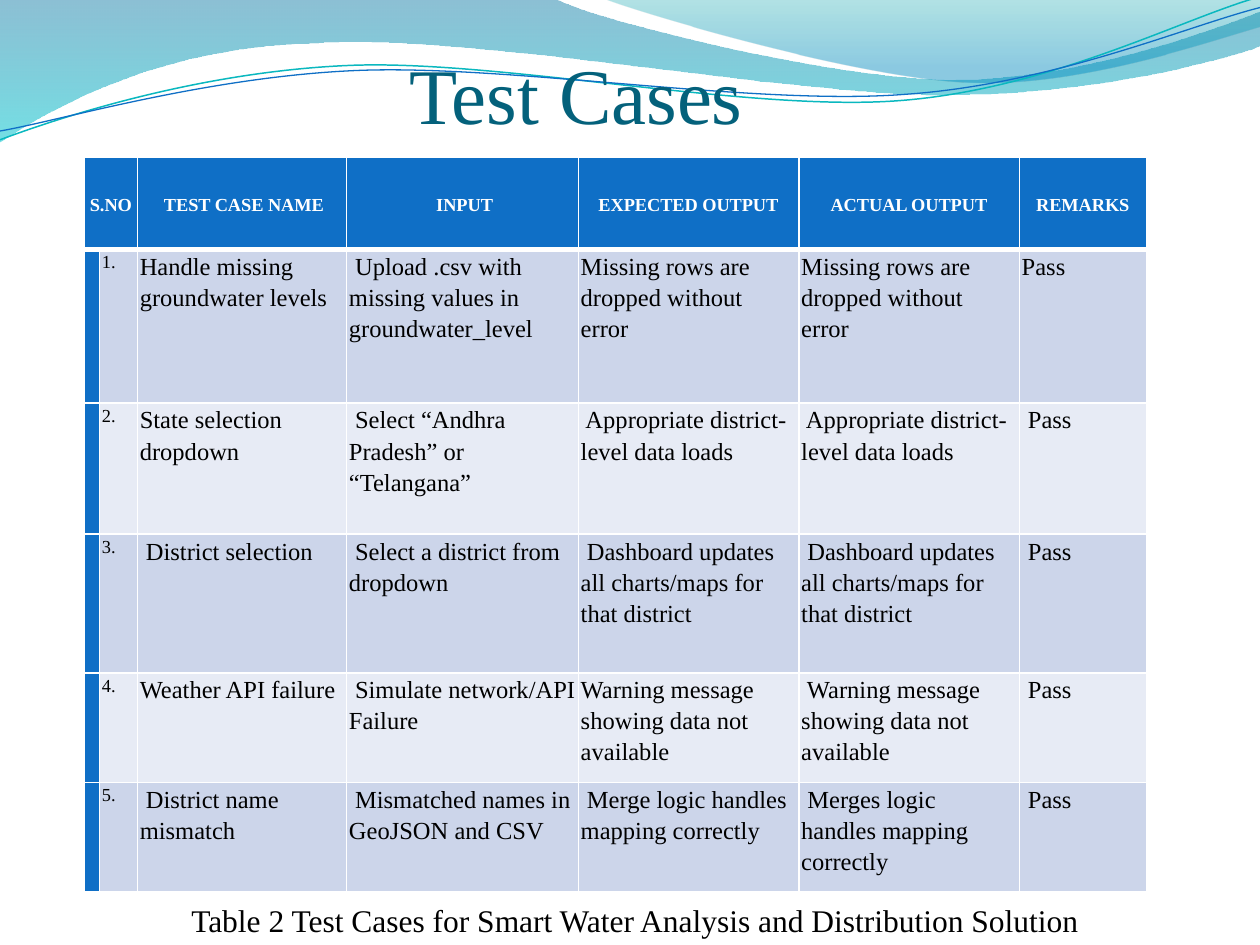
from lxml.etree import SubElement
from pptx import Presentation
from pptx.dml.color import RGBColor
from pptx.enum.text import MSO_ANCHOR, MSO_AUTO_SIZE, PP_ALIGN
from pptx.oxml.ns import qn
from pptx.util import Inches, Pt

BLUE, WHITE, BLACK = "0F6FC6", "FFFFFF", "000000"
BANDS = ["CCD5EA", "E7EBF5"]


def tint(hue):
    return RGBColor.from_string(hue)


def write(frame, text, size=14, hue=BLACK, bold=False, align=PP_ALIGN.LEFT,
          lead=None, after=0):
    para = frame.paragraphs[0]
    para.alignment, para.line_spacing, para.space_after = align, lead, Pt(after)
    run = para.add_run()
    run.text = text
    font = run.font
    font.name, font.size, font.bold = "Times New Roman", Pt(size), bold
    font.color.rgb = tint(hue)


deck = Presentation()
deck.slide_width, deck.slide_height = Inches(10), Inches(7.5)
slide = deck.slides.add_slide(deck.slide_layouts[6])
shapes = slide.shapes

# Header waves: start point, then lines (x, y) or Bezier curves (two controls, end).
# Filled waves carry gradient stops (position, colour, opacity); the others a line.
waves = [
    ([(0, 0), (4.4, -0.01), (4.76, 0.17, 6.64, 0.63, 7.58, 0.63),
      (8.53, 0.63, 9.58, 0.26, 10, 0.09), (10.01, 0.36),
      (9.83, 0.44, 8.7, 0.76, 7.46, 0.75), (6.22, 0.75, 3.82, 0.28, 2.57, 0.34),
      (1.29, 0.36, 0.46, 0.83, -0.01, 1.13)],
     [(0, "0074A1", 45), (1, "00C6CF", 55)], None),
    ([(4.79, -0.01), (5.09, 0.11, 6.82, 0.62, 7.69, 0.65),
      (8.56, 0.69, 9.61, 0.32, 10, 0.21), (10, 0)],
     [(0, "00A1A9", 30), (0.8, "008BBF", 45)], None),
    ([(0, 1.11), (0.48, 0.93, 1.58, 0.57, 2.77, 0.52),
      (3.95, 0.47, 5.93, 0.89, 7.13, 0.8), (8.33, 0.71, 9.38, 0.15, 9.98, -0.02)],
     None, ("0AB8BF", 0.85)),
    ([(0, 1.04), (0.47, 0.96, 1.64, 0.61, 2.83, 0.56),
      (4.03, 0.51, 5.97, 0.84, 7.17, 0.75), (8.36, 0.67, 9.41, 0.21, 10, 0.06)],
     None, ("0F6FC6", 0.75)),
]
for path, stops, line in waves:
    ends = [(Inches(part[-2]), Inches(part[-1])) for part in path]
    pen = shapes.build_freeform(*ends[0])
    pen.add_line_segments(ends[1:], close=stops is not None)
    wave = pen.convert_to_shape()
    wave.shadow.inherit = False

    # Turn the straight segments that have control points into curves.
    segs = list(wave._element.iter(qn("a:lnTo")))
    for seg, part in zip(segs, path[1:]):
        if len(part) == 6:
            seg.tag = qn("a:cubicBezTo")
            for i in (0, 2):
                knot = SubElement(seg, qn("a:pt"),
                                  x=str(Inches(part[i]) - wave.left),
                                  y=str(Inches(part[i + 1]) - wave.top))
                seg.insert(i // 2, knot)

    if stops:
        wave.line.fill.background()
        wave.fill.gradient()
        wave.fill.gradient_angle = 270
        for stop, (place, hue, alpha) in zip(wave.fill.gradient_stops, stops):
            stop.position = place
            stop.color.rgb = tint(hue)
            node = stop.color._xFill.find(qn("a:srgbClr"))
            SubElement(node, qn("a:alpha"), val=str(alpha * 1000))
    else:
        wave.fill.background()
        wave.line.color.rgb = tint(line[0])
        wave.line.width = Pt(line[1])

title = shapes.add_textbox(Inches(3.25), Inches(0.58), Inches(2.83), Inches(0.53))
frame = title.text_frame
frame.word_wrap = True
frame.vertical_anchor = MSO_ANCHOR.BOTTOM
frame.margin_left = frame.margin_right = frame.margin_bottom = 0
write(frame, "Test Cases", size=45, hue="04617B")

heads = ["S.NO", "", " TEST CASE NAME", " INPUT", "EXPECTED OUTPUT",
         "ACTUAL OUTPUT", "REMARKS"]
cases = [
    ["Handle missing groundwater levels",
     " Upload .csv with missing values in groundwater_level",
     "Missing rows are dropped without error",
     "Missing rows are dropped without error", "Pass"],
    ["State selection dropdown", " Select “Andhra Pradesh” or “Telangana”",
     " Appropriate district-level data loads",
     " Appropriate district-level data loads", " Pass"],
    [" District selection", " Select a district from dropdown",
     " Dashboard updates all charts/maps for that district",
     " Dashboard updates all charts/maps for that district", " Pass"],
    ["Weather API failure", " Simulate network/API Failure",
     "Warning message showing data not available",
     " Warning message showing data not available", " Pass"],
    [" District name mismatch", " Mismatched names in GeoJSON and CSV",
     " Merge logic handles mapping correctly",
     " Merges logic handles mapping correctly", " Pass"],
]
rows = [heads] + [["", f"{n}."] + case for n, case in enumerate(cases, 1)]
widths = [0.12, 0.3, 1.66, 1.84, 1.75, 1.75, 1.01]
heights = [0.73, 1.22, 1.04, 1.1, 0.87, 0.87]

table = shapes.add_table(len(rows), len(widths), Inches(0.67), Inches(1.25),
                         Inches(sum(widths)), Inches(sum(heights))).table
table.horz_banding = False
for col, width in zip(table.columns, widths):
    col.width = Inches(width)
for row, height in zip(table.rows, heights):
    row.height = Inches(height)
table.cell(0, 0).merge(table.cell(0, 1))

for r, row in enumerate(rows):
    for c, text in enumerate(row):
        cell = table.cell(r, c)
        cell.margin_left = cell.margin_right = Inches(0.02)
        cell.margin_top = cell.margin_bottom = 0
        props = cell._tc.get_or_add_tcPr()
        for side in "LRTB":
            thick = (r, side) in ((0, "B"), (1, "T"))
            edge = SubElement(props, qn(f"a:ln{side}"), w=str(Pt(3 if thick else 1)))
            SubElement(SubElement(edge, qn("a:solidFill")), qn("a:srgbClr"), val=WHITE)
        cell.fill.solid()
        cell.fill.fore_color.rgb = tint(
            BLUE if r == 0 or c == 0 else BANDS[(r - 1) % 2])
        if not text:
            continue
        if r == 0:
            cell.vertical_anchor = MSO_ANCHOR.MIDDLE
            look = dict(size=10.5, hue=WHITE, bold=True, align=PP_ALIGN.CENTER)
        else:
            look = dict(size=10.5 if c == 1 else 14)
        write(cell.text_frame, text, lead=1.15, after=10, **look)

note = shapes.add_textbox(Inches(1.42), Inches(7.1), Inches(7.44), Inches(0.4))
note.text_frame.word_wrap = False
note.text_frame.auto_size = MSO_AUTO_SIZE.SHAPE_TO_FIT_TEXT
write(note.text_frame, size=18,
      text="Table 2 Test Cases for Smart Water Analysis and Distribution Solution")

deck.save("out.pptx")
